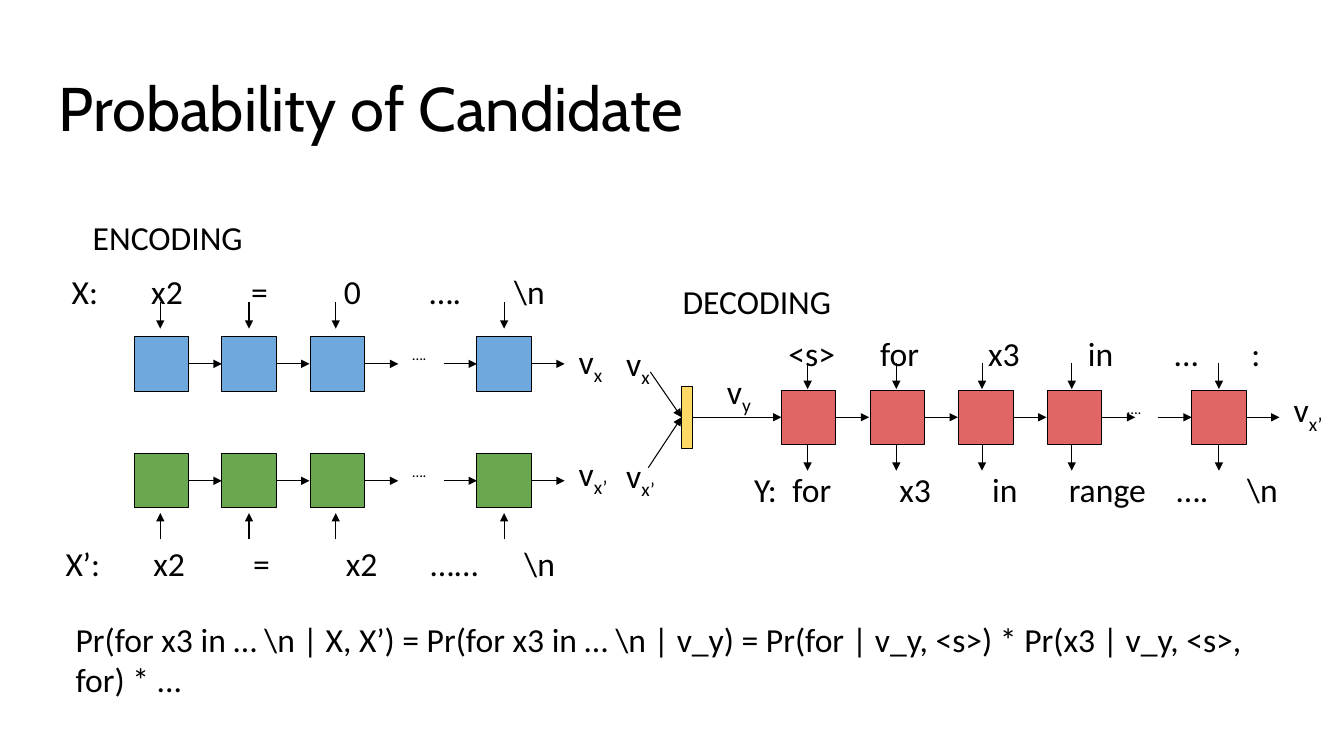
from dataclasses import dataclass

from lxml.etree import SubElement
from pptx import Presentation
from pptx.dml.color import RGBColor
from pptx.enum.shapes import MSO_CONNECTOR, MSO_SHAPE
from pptx.enum.text import MSO_ANCHOR
from pptx.oxml.ns import qn
from pptx.util import Inches, Pt


@dataclass(frozen=True)
class Theme:
    """Colours, fonts, type sizes and shared lengths of the slide."""
    black: RGBColor = RGBColor(0x00, 0x00, 0x00)
    blue: RGBColor = RGBColor(0x6F, 0xA8, 0xDC)
    green: RGBColor = RGBColor(0x6A, 0xA8, 0x4F)
    red: RGBColor = RGBColor(0xE0, 0x66, 0x66)
    yellow: RGBColor = RGBColor(0xFF, 0xD9, 0x66)
    title_font: str = "Cabin"
    body_font: str = "Calibri"
    title_size: float = 44
    body_size: float = 24
    dots_size: float = 10.7
    line_width: float = 0.75
    inset: float = 0.13
    cell: float = 0.54
    arrow: float = 0.33
    token_arrow: float = 0.26


THEME = Theme()


def add_run(paragraph, text, size, font_name):
    """Append a black run to the paragraph and return it."""
    run = paragraph.add_run()
    run.text = text
    run.font.size = Pt(size)
    run.font.name = font_name
    run.font.color.rgb = THEME.black
    return run


def add_text(slide, left, top, width, height, text,
             size=THEME.body_size, font_name=THEME.body_font):
    """Add a wrapped, top-anchored text box and return its paragraph."""
    frame = slide.shapes.add_textbox(
        Inches(left), Inches(top), Inches(width), Inches(height)).text_frame
    frame.word_wrap = True
    frame.vertical_anchor = MSO_ANCHOR.TOP
    frame.margin_left = frame.margin_right = Inches(THEME.inset)
    frame.margin_top = frame.margin_bottom = Inches(THEME.inset)
    paragraph = frame.paragraphs[0]
    add_run(paragraph, text, size, font_name)
    return paragraph


def add_token_row(slide, left, top, width, tokens, starts):
    """Add a row of tokens, each after the first starting at a tab stop."""
    paragraph = add_text(slide, left, top, width, 0.35, "\t".join(tokens))
    tab_list = SubElement(paragraph._p.get_or_add_pPr(), qn("a:tabLst"))
    for start in starts:
        position = Inches(start - left - THEME.inset)
        SubElement(tab_list, qn("a:tab"), pos=str(position), algn="l")


def add_vector(slide, left, top, subscript, height=0.2):
    """Add a vector label v with a subscript."""
    paragraph = add_text(slide, left, top, 0.69, height, "v")
    run = add_run(paragraph, subscript, THEME.body_size, THEME.body_font)
    run.font._element.set("baseline", "-25000")


def add_box(slide, left, top, width, height, colour):
    """Add a filled rectangle with a thin black outline."""
    shape = slide.shapes.add_shape(
        MSO_SHAPE.RECTANGLE, Inches(left), Inches(top), Inches(width), Inches(height))
    shape.shadow.inherit = False
    shape.fill.solid()
    shape.fill.fore_color.rgb = colour
    shape.line.color.rgb = THEME.black
    shape.line.width = Pt(THEME.line_width)


def add_arrow(slide, start_x, start_y, end_x, end_y):
    """Add a thin black arrow between two points."""
    connector = slide.shapes.add_connector(
        MSO_CONNECTOR.STRAIGHT, Inches(start_x), Inches(start_y),
        Inches(end_x), Inches(end_y))
    connector.line.color.rgb = THEME.black
    connector.line.width = Pt(THEME.line_width)
    SubElement(connector.line._get_or_add_ln(), qn("a:tailEnd"), type="triangle")
    SubElement(connector._element.spPr, qn("a:effectLst"))


def add_chain(slide, lefts, top, colour, dots_left):
    """Add a chain of cells whose last cell follows an ellipsis."""
    middle = top + THEME.cell / 2
    for left in lefts:
        right = left + THEME.cell
        add_box(slide, left, top, THEME.cell, THEME.cell, colour)
        add_arrow(slide, right, middle, right + THEME.arrow, middle)
    add_arrow(slide, lefts[-1] - THEME.arrow, middle, lefts[-1], middle)
    add_text(slide, dots_left, top, 0.49, 0.27, "….", THEME.dots_size)


def add_token_arrows(slide, centres, start_y, direction):
    """Add one vertical arrow per token, down for 1 and up for -1."""
    for centre in centres:
        add_arrow(slide, centre, start_y, centre,
                  start_y + direction * THEME.token_arrow)


def add_encoders(slide):
    """Add both encoder chains with their tokens and output vectors."""
    add_text(slide, 0.79, 2.02, 4.57, 0.54, "ENCODING")
    lefts = [1.33, 2.2, 3.08, 4.73]
    centres = [1.59, 2.47, 3.33, 5]
    add_chain(slide, lefts, 3.34, THEME.blue, 3.96)
    add_chain(slide, lefts, 4.5, THEME.green, 3.96)
    add_token_arrows(slide, centres, 3, 1)
    add_token_arrows(slide, centres, 5.35, -1)
    add_token_row(slide, 0.58, 2.56, 5.52, ["X:", "x2", "=", "0", "….", "\\n"],
                  [1.5, 2.49, 3.41, 4.26, 5.1])
    add_token_row(slide, 0.52, 5.26, 5.58, ["X’:", "x2", "=", "x2", "…...", "\\n"],
                  [1.52, 2.51, 3.43, 4.27, 5.2])
    add_vector(slide, 5.61, 3.31, "x")
    add_vector(slide, 5.61, 4.42, "x’")


def add_merge(slide):
    """Add the layer that joins both encoder vectors into one."""
    add_vector(slide, 6.08, 3.33, "x")
    add_vector(slide, 6.08, 4.44, "x’")
    add_box(slide, 6.76, 3.83, 0.11, 0.62, THEME.yellow)
    add_arrow(slide, 6.45, 3.69, 6.76, 4.14)
    add_arrow(slide, 6.43, 4.64, 6.76, 4.14)
    add_arrow(slide, 6.87, 4.14, 7.75, 4.14)
    add_vector(slide, 7.08, 3.55, "y", 0.48)


def add_decoder(slide):
    """Add the decoder chain with its input and output tokens."""
    add_text(slide, 6.64, 2.66, 4.57, 0.54, "DECODING")
    lefts = [7.75 + 0.88 * index for index in range(4)] + [11.82]
    centres = [8.01, 8.89, 9.74, 10.63, 12.09]
    add_chain(slide, lefts, 3.87, THEME.red, 11.05)
    add_token_arrows(slide, centres, 3.6, 1)
    add_token_arrows(slide, centres, 4.41, 1)
    add_token_row(slide, 7.69, 3.17, 5.58, ["<s>", "for", "x3", "in", "...", ":"],
                  [8.73, 9.8, 10.79, 11.64, 12.41])
    add_token_row(slide, 7.35, 4.52, 5.58,
                  ["Y:", "for", "x3", "in", "range", "….", "\\n"],
                  [7.86, 8.92, 9.84, 10.6, 11.67, 12.37])
    add_vector(slide, 12.7, 3.79, "x’")


def main():
    """Build the slide and save it."""
    presentation = Presentation()
    presentation.slide_width = Inches(13.33)
    presentation.slide_height = Inches(7.5)
    slide = presentation.slides.add_slide(presentation.slide_layouts[6])
    title = add_text(slide, 0.45, 0.65, 12.42, 0.84, "Probability of Candidate",
                     THEME.title_size, THEME.title_font)
    title.line_spacing = 0.9
    add_encoders(slide)
    add_decoder(slide)
    add_merge(slide)
    add_text(slide, 0.62, 6.01, 12.08, 0.9,
             "Pr(for x3 in … \\n | X, X’) = Pr(for x3 in … \\n | v_y) = "
             "Pr(for | v_y, <s>) * Pr(x3 | v_y, <s>, for) * ...")
    presentation.save("out.pptx")


if __name__ == "__main__":
    main()
